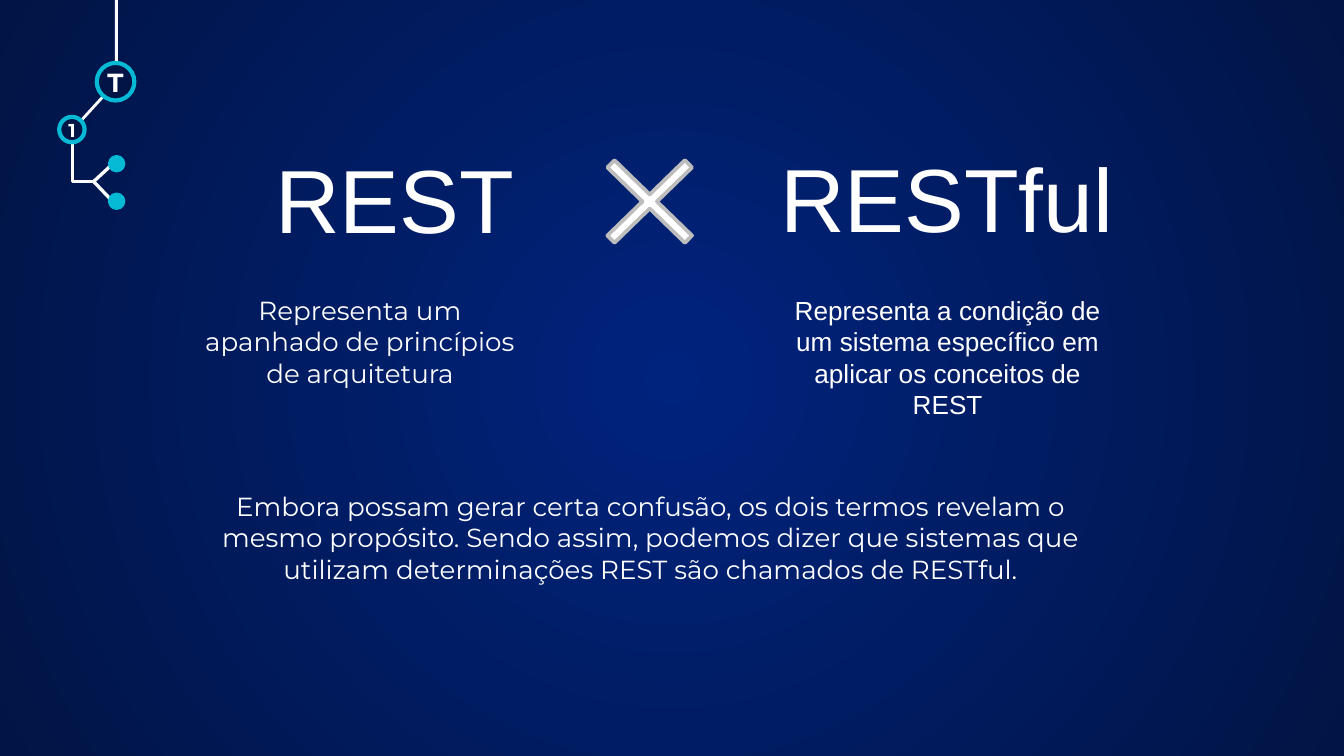
from lxml import etree
from pptx import Presentation
from pptx.dml.color import RGBColor
from pptx.enum.shapes import MSO_CONNECTOR, MSO_SHAPE
from pptx.enum.text import MSO_ANCHOR, MSO_AUTO_SIZE, PP_ALIGN
from pptx.oxml.ns import qn
from pptx.util import Cm, Pt

WHITE = RGBColor(0xFF, 0xFF, 0xFF)
GREY = RGBColor(0xBD, 0xBD, 0xBD)
CYAN = RGBColor(0x06, 0xBA, 0xD6)
NAVY = RGBColor(0x01, 0x14, 0x46)
BG_CENTRE = RGBColor(0x00, 0x23, 0x7D)
BG_EDGE = RGBColor(0x01, 0x14, 0x45)


def write(tf, text, font, size, bold=False):
    tf.text = text
    p = tf.paragraphs[0]
    p.alignment = PP_ALIGN.CENTER
    p.space_before = Pt(0)
    f = p.runs[0].font
    f.name, f.size, f.bold = font, Pt(size), bold
    f.color.rgb = WHITE
    return p


def style(sp, fill, line, width):
    sp.shadow.inherit = False
    sp.fill.solid()
    sp.fill.fore_color.rgb = fill
    sp.line.color.rgb = line
    sp.line.width = Pt(width)


prs = Presentation()
prs.slide_width, prs.slide_height = Cm(25.4), Cm(14.29)
s = prs.slides.add_slide(prs.slide_layouts.get_by_name("Comparison"))

# Radial background
fill = s.background.fill
fill.gradient()
for stop, color in zip(fill.gradient_stops, (BG_CENTRE, BG_EDGE)):
    stop.color.rgb = color
lin = next(s._element.iter(qn("a:lin")))
radial = etree.Element(qn("a:path"), path="circle")
etree.SubElement(radial, qn("a:fillToRect"), l="50000", t="50000", r="50000", b="50000")
lin.getparent().replace(lin, radial)

# Circuit: trunk, branches, nodes
trunk = [(2.2, 0), (2.2, 1.55), (1.37, 2.46), (1.37, 3.43), (1.79, 3.43)]
points = [(Cm(x), Cm(y)) for x, y in trunk]
fb = s.shapes.build_freeform(*points[0])
fb.add_line_segments(points[1:], close=False)
sp = fb.convert_to_shape()
sp.shadow.inherit = False
sp.fill.background()
sp.line.color.rgb = WHITE
sp.line.width = Pt(1.5)

for x1, y1, x2, y2 in [(1.75, 3.45, 2.16, 3.07), (1.75, 3.41, 2.13, 3.81)]:
    branch = s.shapes.add_connector(MSO_CONNECTOR.STRAIGHT, Cm(x1), Cm(y1), Cm(x2), Cm(y2))
    branch.line.color.rgb = WHITE
    branch.line.width = Pt(1.78)
    etree.SubElement(branch._element.spPr, qn("a:effectLst"))

nodes = [
    (1.83, 1.19, 0.71, NAVY, "T", 14),
    (1.12, 2.21, 0.48, NAVY, "1", 10),
    (2.08, 2.97, 0.25, CYAN, None, None),
    (2.08, 3.68, 0.25, CYAN, None, None),
]
for x, y, d, color, label, size in nodes:
    sp = s.shapes.add_shape(MSO_SHAPE.OVAL, Cm(x), Cm(y), Cm(d), Cm(d))
    style(sp, color, CYAN, 2.25)
    if label:
        tf = sp.text_frame
        tf.margin_left = tf.margin_right = 0
        tf.word_wrap = False
        tf.vertical_anchor = MSO_ANCHOR.MIDDLE
        write(tf, label, "Montserrat", size, bold=True)

# Headings and explanations: placeholder idx, position, text, font, size
texts = [
    (0, 4.88, 2.67, 5.16, 2.34, "REST", "Arial", 48),
    (1, 3.58, 5.31, 6.45, 2.74,
     "Representa um apanhado de princípios de arquitetura", "Montserrat", 14),
    (3, 14.35, 2.69, 7.09, 2.29, "RESTful", "Arial", 48),
    (2, 14.53, 5.31, 6.76, 2.74,
     "Representa a condição de um sistema específico em aplicar os conceitos de REST",
     "Arial", 14),
    (4, 3.56, 9.02, 17.48, 2.34,
     "Embora possam gerar certa confusão, os dois termos revelam o mesmo propósito. "
     "Sendo assim, podemos dizer que sistemas que utilizam determinações REST são "
     "chamados de RESTful.", "Montserrat", 14),
]
holders = {ph.placeholder_format.idx: ph for ph in s.placeholders}
for idx, x, y, w, h, text, font, size in texts:
    sp = holders.pop(idx)
    sp.left, sp.top, sp.width, sp.height = Cm(x), Cm(y), Cm(w), Cm(h)
    tf = sp.text_frame
    tf.word_wrap = True
    tf.auto_size = MSO_AUTO_SIZE.NONE
    tf.margin_left = tf.margin_right = tf.margin_top = tf.margin_bottom = Cm(0.25)
    tf.vertical_anchor = MSO_ANCHOR.BOTTOM if size == 48 else MSO_ANCHOR.TOP
    p = write(tf, text, font, size)
    if size == 14:
        p.line_spacing = Pt(16.8)
    pPr = p._p.get_or_add_pPr()
    pPr.set("marL", "0")
    pPr.set("indent", "0")
    etree.SubElement(pPr, qn("a:buNone"))
for ph in holders.values():
    ph._element.getparent().remove(ph._element)

cross = s.shapes.add_shape(MSO_SHAPE.MATH_MULTIPLY, Cm(10.87), Cm(2.44), Cm(2.82), Cm(2.74))
cross.adjustments[0] = 0.07
style(cross, WHITE, GREY, 2)

prs.save("out.pptx")
